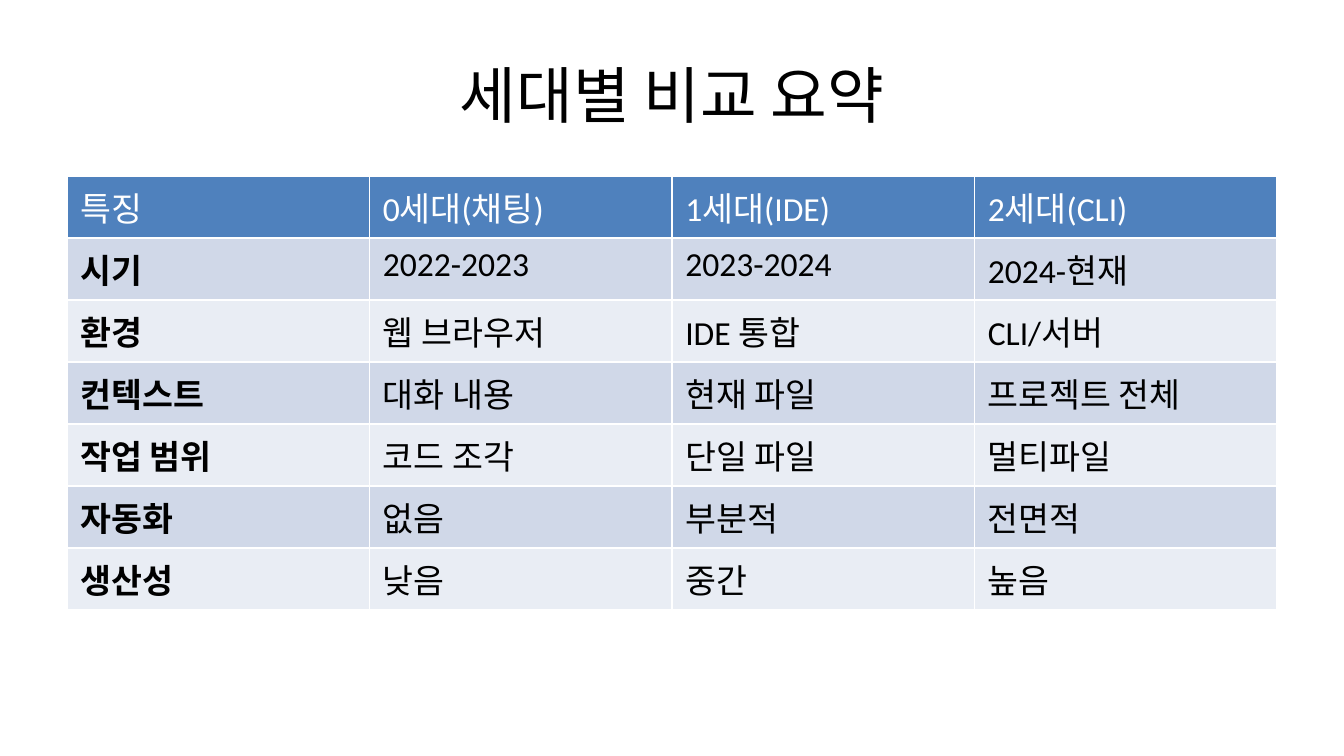
"""Build a slide that compares tool generations in a table."""
import pptx
import pptx.util
import pptx.dml.color
import pptx.enum.text
import pptx.oxml

SCALE = 914400 / 134.4
WHITE, BLACK, BLUE = "FFFFFF", "000000", "4F81BD"
BANDS = ["D0D8E8", "E9EDF4"]
ROWS = [
    ["특징", "0세대(채팅)", "1세대(IDE)", "2세대(CLI)"],
    ["시기", "2022-2023", "2023-2024", "2024-현재"],
    ["환경", "웹 브라우저", "IDE 통합", "CLI/서버"],
    ["컨텍스트", "대화 내용", "현재 파일", "프로젝트 전체"],
    ["작업 범위", "코드 조각", "단일 파일", "멀티파일"],
    ["자동화", "없음", "부분적", "전면적"],
    ["생산성", "낮음", "중간", "높음"],
]


def px(count):
    """Turn pixels into EMU."""
    return pptx.util.Emu(round(count * SCALE))


def paint(hue):
    """Turn a hex string into a colour."""
    return pptx.dml.color.RGBColor.from_string(hue)


def write(frame, text, size=18, color=BLACK, bold=False, align="LEFT"):
    """Put one formatted line of text in a frame."""
    line = frame.paragraphs[0]
    line.alignment = getattr(pptx.enum.text.PP_ALIGN, align)
    run = line.add_run()
    run.text = text
    font = run.font
    font.name, font.size, font.bold = "Calibri", pptx.util.Pt(size), bold
    font.color.rgb = paint(color)


def edge(cell, color, width):
    """Draw the four borders of a cell."""
    props = cell._tc.get_or_add_tcPr()
    space = "http://schemas.openxmlformats.org/drawingml/2006/main"
    for side in "LRTB":
        props.append(pptx.oxml.parse_xml(
            f'<a:ln{side} xmlns:a="{space}" w="{pptx.util.Pt(width)}">'
            f'<a:solidFill><a:srgbClr val="{color}"/></a:solidFill></a:ln{side}>'))


def title(slide, text, left, top, width, height):
    """Add the centred heading."""
    frame = slide.shapes.add_textbox(*map(px, (left, top, width, height))).text_frame
    frame.word_wrap = True
    frame.vertical_anchor = pptx.enum.text.MSO_ANCHOR.MIDDLE
    write(frame, text, size=33, align="CENTER")


def grid(slide, rows, left, top, width, step):
    """Add the table with a blue head and banded rows."""
    box = map(px, (left, top, width, step * len(rows)))
    table = slide.shapes.add_table(len(rows), len(rows[0]), *box).table
    for y, row in enumerate(rows):
        table.rows[y].height = px(step)
        head = y == 0
        for x, text in enumerate(row):
            cell = table.cell(y, x)
            edge(cell, WHITE, 1)
            cell.fill.solid()
            cell.fill.fore_color.rgb = paint(BLUE if head else BANDS[(y - 1) % 2])
            write(cell.text_frame, text, color=WHITE if head else BLACK,
                  bold=x == 0 and not head)


def main():
    """Build and save the slide."""
    deck = pptx.Presentation()
    deck.slide_width, deck.slide_height = px(1344), px(756)
    slide = deck.slides.add_slide(deck.slide_layouts[6])
    title(slide, "세대별 비교 요약", 67, 31, 1210, 126)
    grid(slide, ROWS, 67, 176, 1210, 62)
    deck.save("out.pptx")


if __name__ == "__main__":
    main()
